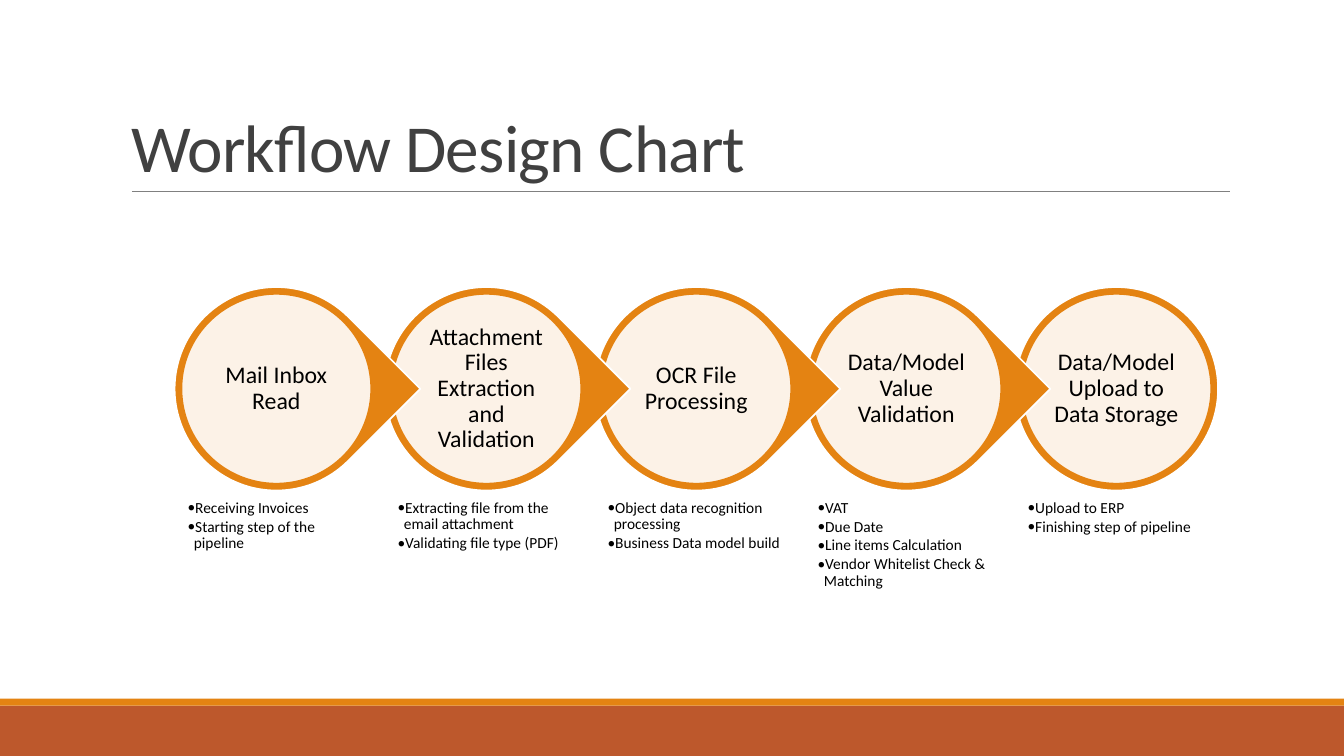
import lxml.etree
import pptx
import pptx.dml.color
import pptx.enum.shapes
import pptx.enum.text
import pptx.oxml.ns
import pptx.util

Pt = pptx.util.Pt
Shape = pptx.enum.shapes.MSO_SHAPE
Anchor = pptx.enum.text.MSO_ANCHOR
Align = pptx.enum.text.PP_ALIGN
qn = pptx.oxml.ns.qn

FONT = "Calibri"
ORANGE = "E48312"
RUST = "BD582C"
PAGE_WIDTH, PAGE_HEIGHT = 960, 540
STEP_PITCH = 150
DROP_SIZE = 145.4
DISC_INSET = 4.9
LABEL_INSET = 24.4

STEPS = [
    ("Mail Inbox Read",
     ["Receiving Invoices", "Starting step of the pipeline"]),
    ("Attachment Files Extraction and Validation",
     ["Extracting file from the email attachment", "Validating file type (PDF)"]),
    ("OCR File Processing",
     ["Object data recognition processing", "Business Data model build"]),
    ("Data/Model Value Validation",
     ["VAT", "Due Date", "Line items Calculation",
      "Vendor Whitelist Check & Matching"]),
    ("Data/Model Upload to Data Storage",
     ["Upload to ERP", "Finishing step of pipeline"]),
]


def color(value):
    return pptx.dml.color.RGBColor.from_string(value)


def add_filled(page, kind, box, fill, line=None):
    shape = page.shapes.add_shape(kind, *map(Pt, box))
    shape.shadow.inherit = False
    shape.fill.solid()
    shape.fill.fore_color.rgb = color(fill)
    if line:
        shape.line.color.rgb = color(line)
        shape.line.width = Pt(1.25)
    else:
        shape.line.fill.background()
    return shape


def set_frame(frame, inset, anchor):
    frame.word_wrap = True
    frame.auto_size = pptx.enum.text.MSO_AUTO_SIZE.NONE
    frame.vertical_anchor = anchor
    frame.margin_left = frame.margin_right = Pt(inset)
    frame.margin_top = frame.margin_bottom = Pt(inset)


def write(para, text, size, fill, align, line_spacing=0.9):
    para.alignment = align
    para.line_spacing = line_spacing
    span = para.add_run()
    span.text = text
    span.font.name = FONT
    span.font.size = Pt(size)
    span.font.color.rgb = color(fill)
    return span


def add_bullet(para, indent):
    para.level = 1
    properties = para._p.get_or_add_pPr()
    properties.set("marL", str(Pt(indent)))
    properties.set("indent", str(-Pt(indent)))
    lxml.etree.SubElement(properties, qn("a:buFont")).set("typeface", FONT)
    lxml.etree.SubElement(properties, qn("a:buChar")).set("char", "•")


def add_footer_bands(page, box):
    left, top, width, height = box
    stripe = 5
    add_filled(page, Shape.RECTANGLE,
               (left, top + stripe, width, height - stripe), RUST)
    add_filled(page, Shape.RECTANGLE, (left, top, width, stripe), ORANGE)


def add_title(page, box, text):
    left, top, width, height = box
    title = page.shapes.title
    title.left, title.top, title.width, title.height = map(Pt, box)
    frame = title.text_frame
    set_frame(frame, 3.6, Anchor.BOTTOM)
    frame.margin_left = frame.margin_right = Pt(7.2)
    span = write(frame.paragraphs[0], text, 48, "404040", Align.LEFT, 0.85)
    span.font._element.set("spc", "-50")

    rule_left, rule_y = left + 7.9, top + height
    rule = page.shapes.add_connector(
        pptx.enum.shapes.MSO_CONNECTOR.STRAIGHT, Pt(rule_left), Pt(rule_y),
        Pt(rule_left + 784.5), Pt(rule_y))
    rule.line.color.rgb = color("808080")
    rule.line.width = Pt(0.5)
    lxml.etree.SubElement(rule._element.spPr, qn("a:effectLst"))


def add_step(page, box, label, details, is_last):
    """Draw a ringed disc, pointing right unless last, with bullets below."""
    left, top, width, height = box

    def inner(inset):
        return (left + inset, top + inset,
                DROP_SIZE - 2 * inset, DROP_SIZE - 2 * inset)

    kind = Shape.OVAL if is_last else Shape.TEAR
    drop = add_filled(page, kind, inner(0), ORANGE, "FFFFFF")
    drop.rotation = 0 if is_last else 45

    disc = add_filled(page, Shape.OVAL, inner(DISC_INSET), "FFFFFF", ORANGE)
    tint = disc._element.spPr.find(qn("a:solidFill"))[0]
    lxml.etree.SubElement(tint, qn("a:alpha")).set("val", "90000")

    frame = page.shapes.add_textbox(*map(Pt, inner(LABEL_INSET))).text_frame
    set_frame(frame, 1.7, Anchor.MIDDLE)
    write(frame.paragraphs[0], label, 17, "000000", Align.CENTER)

    notes_top = DROP_SIZE + 2.2
    notes = page.shapes.add_textbox(
        Pt(left + DISC_INSET), Pt(top + notes_top),
        Pt(width - 2 * DISC_INSET), Pt(height - notes_top))
    frame = notes.text_frame
    set_frame(frame, 4.4, Anchor.TOP)
    for index, detail in enumerate(details):
        para = frame.add_paragraph() if index else frame.paragraphs[0]
        write(para, detail, 11, "000000", Align.LEFT)
        para.space_after = Pt(1.65)
        add_bullet(para, 4.5)


def add_workflow(page, box):
    """Place the steps from last to first, so each tip overlaps the next disc."""
    left, top, width, height = box
    last = len(STEPS) - 1
    for index in range(last, -1, -1):
        label, details = STEPS[index]
        step_box = (left + index * STEP_PITCH, top, DROP_SIZE, height)
        add_step(page, step_box, label, details, index == last)


def main():
    deck = pptx.Presentation()
    deck.slide_width, deck.slide_height = Pt(PAGE_WIDTH), Pt(PAGE_HEIGHT)
    page = deck.slides.add_slide(deck.slide_layouts[5])
    add_footer_bands(page, (0, 499, PAGE_WIDTH, 41))
    add_title(page, (86.4, 22.6, 792, 114.2), "Workflow Design Chart")
    add_workflow(page, (124.7, 205, 745.4, 227.6))
    deck.save("out.pptx")


if __name__ == "__main__":
    main()
